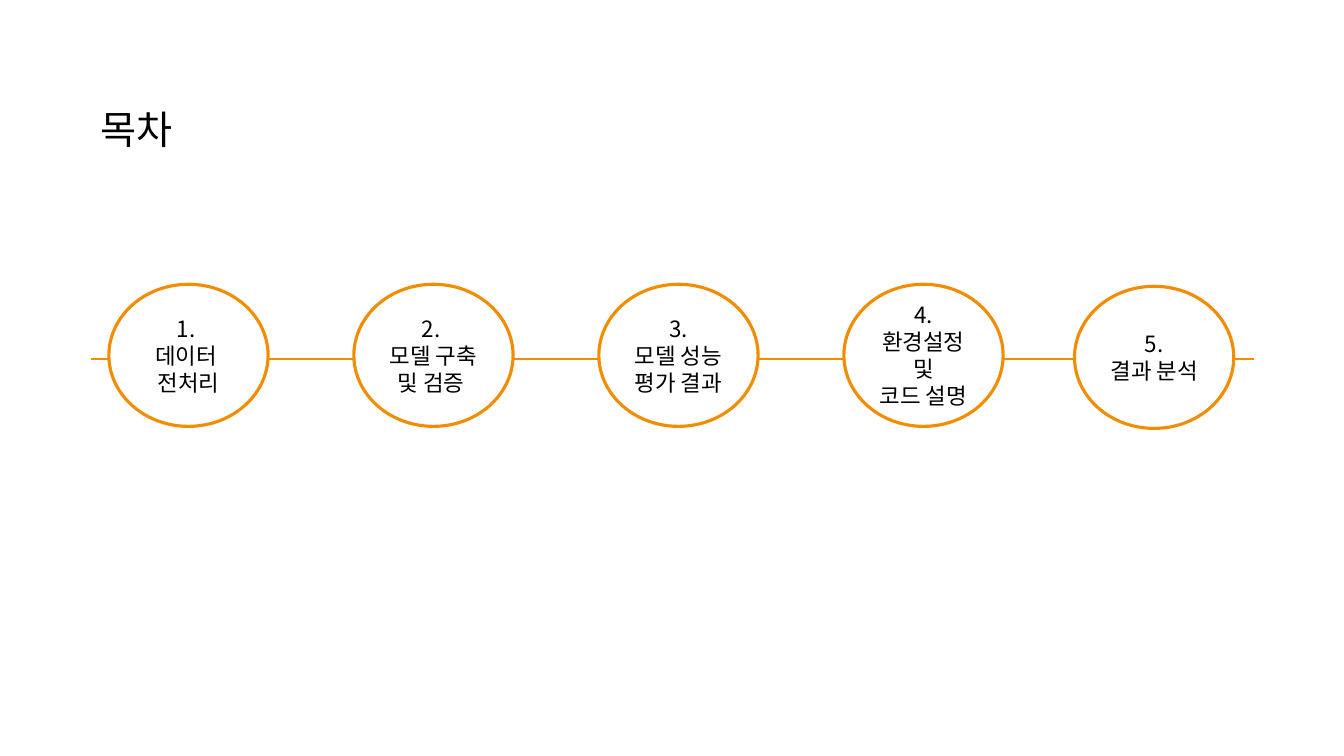
import pptx
import pptx.dml.color
import pptx.enum.shapes
import pptx.enum.text
import pptx.oxml
import pptx.oxml.ns
import pptx.util

ORANGE = pptx.dml.color.RGBColor(0xF2, 0x8D, 0x01)
WHITE = pptx.dml.color.RGBColor(0xFF, 0xFF, 0xFF)
BLACK = pptx.dml.color.RGBColor(0x00, 0x00, 0x00)

FONT = "Noto Sans CJK KR"
GRID = 100
FIRST_LEFT, PITCH = 8.1, 18.23
CIRCLE_TOP, CIRCLE_WIDTH, CIRCLE_HEIGHT = 37.6, 11.85, 18.8
LAST_LEFT, LAST_TOP = 79.95, 37.87

STEPS = [
    ["1. ", "데이터 ", "전처리"],
    ["2. ", "모델 구축 및 검증 "],
    ["3.", "모델 성능 평가 결과"],
    ["4.", "환경설정 및", "코드 설명"],
]
LAST_STEP = ["5.", "결과 분석"]


class Agenda:
    def __init__(self):
        self.deck = pptx.Presentation()
        self.deck.slide_width = pptx.util.Inches(13.33)
        self.deck.slide_height = pptx.util.Inches(7.5)
        self.page = self.deck.slides.add_slide(self.deck.slide_layouts[5])
        self.page.background.fill.solid()
        self.page.background.fill.fore_color.rgb = WHITE

    def column(self, count):
        return round(self.deck.slide_width * count / GRID)

    def row(self, count):
        return round(self.deck.slide_height * count / GRID)

    def apply(self, target, values):
        for name, value in values.items():
            setattr(target, name, value)

    def text(self, box, lines, size, align, frame_format):
        frame = box.text_frame
        self.apply(frame, frame_format)
        frame.text = "\n".join(lines)
        for para in frame.paragraphs:
            para.alignment = align
            for span in para.runs:
                self.apply(span.font, {"size": pptx.util.Pt(size), "name": FONT})
                span.font.color.rgb = BLACK
                east_asian = pptx.oxml.parse_xml(
                    f'<a:ea {pptx.oxml.ns.nsdecls("a")} typeface="{FONT}"/>'
                )
                span.font._element.find(pptx.oxml.ns.qn("a:latin")).addnext(east_asian)

    def title(self, text, left, top, width, height):
        box = self.page.shapes.title
        self.apply(box, {
            "left": self.column(left), "top": self.row(top),
            "width": self.column(width), "height": self.row(height),
        })
        self.text(box, [text], 28, pptx.enum.text.PP_ALIGN.LEFT, {
            "word_wrap": False,
            "auto_size": pptx.enum.text.MSO_AUTO_SIZE.SHAPE_TO_FIT_TEXT,
            "vertical_anchor": pptx.enum.text.MSO_ANCHOR.TOP,
        })

    def line(self, left, right, level):
        connector = self.page.shapes.add_connector(
            pptx.enum.shapes.MSO_CONNECTOR.STRAIGHT,
            self.column(left), self.row(level), self.column(right), self.row(level),
        )
        connector.line.color.rgb = ORANGE
        connector.line.width = pptx.util.Pt(1.5)
        connector._element.spPr.append(
            pptx.oxml.parse_xml(f'<a:effectLst {pptx.oxml.ns.nsdecls("a")}/>')
        )

    def circle(self, lines, left, top):
        shape = self.page.shapes.add_shape(
            pptx.enum.shapes.MSO_SHAPE.OVAL,
            self.column(left), self.row(top),
            self.column(CIRCLE_WIDTH), self.row(CIRCLE_HEIGHT),
        )
        shape.shadow.inherit = False
        shape.fill.solid()
        shape.fill.fore_color.rgb = WHITE
        shape.line.color.rgb = ORANGE
        shape.line.width = pptx.util.Pt(2.25)
        self.text(shape, lines, 16, pptx.enum.text.PP_ALIGN.CENTER, {
            "word_wrap": True,
            "vertical_anchor": pptx.enum.text.MSO_ANCHOR.MIDDLE,
        })


def main():
    agenda = Agenda()
    agenda.line(6.75, 93.32, 47.47)
    agenda.title("목차", 6.75, 13.2, 6.9, 7.6)
    for index, lines in enumerate(STEPS):
        agenda.circle(lines, FIRST_LEFT + index * PITCH, CIRCLE_TOP)
    agenda.circle(LAST_STEP, LAST_LEFT, LAST_TOP)
    agenda.deck.save("out.pptx")


if __name__ == "__main__":
    main()
